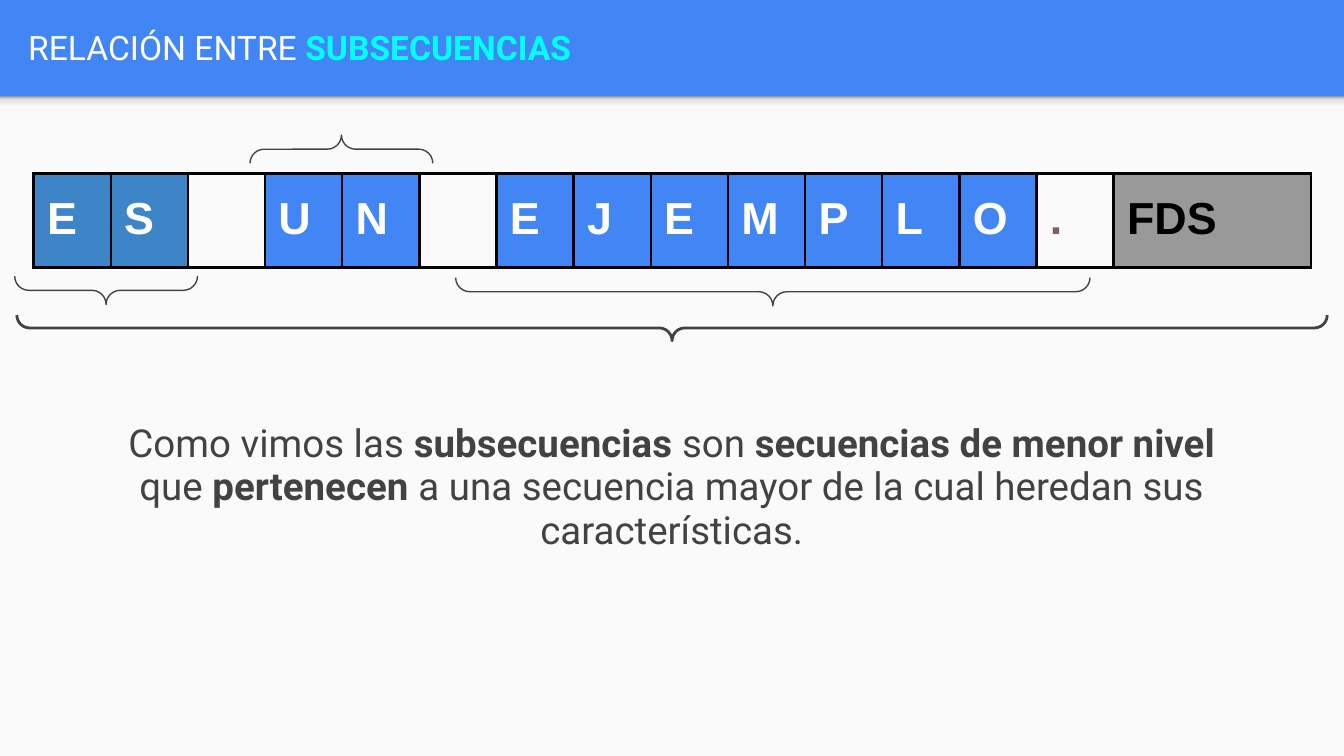
from pptx import Presentation, util as u
from pptx.dml.color import RGBColor
from pptx.enum import shapes, text
from pptx.oxml import parse_xml
from pptx.oxml.ns import nsdecls

WIDTH = 10
HEIGHT = WIDTH * 9 / 16
PANEL_HEIGHT = 4.91
HEADER = HEIGHT - PANEL_HEIGHT
TABLE_LEFT, TABLE_TOP, TABLE_WIDTH, ROW_HEIGHT = 0.25, 1.29, 9.51, 0.7
END_WIDTH = 1.47
BLUE, STEEL, GRAY, DARK, WHITE = "4285F4", "3D85C6", "999999", "424242", "FFFFFF"
SEQUENCE = list("ES UN EJEMPLO.") + ["FDS"]
LETTER_WIDTH = (TABLE_WIDTH - END_WIDTH) / (len(SEQUENCE) - 1)


def color(value):
    return RGBColor.from_string(value)


def inches(*values):
    return [u.Inches(value) for value in values]


def apply(target, values):
    for name, value in values.items():
        setattr(target, name, value)


def add_runs(paragraph, runs, **font):
    """Add (text, colour, bold) runs that share the given font values."""
    for words, tint, bold in runs:
        run = paragraph.add_run()
        run.text = words
        apply(run.font, {**font, "bold": bold})
        run.font.color.rgb = color(tint)


def format_frame(frame, **values):
    margins = dict.fromkeys(
        ["margin_left", "margin_top", "margin_right", "margin_bottom"], u.Inches(0.1))
    apply(frame, {**margins, "word_wrap": True, **values})


def add_panel(slide, height):
    """Add a full-width panel that starts under the header."""
    panel = slide.shapes.add_shape(
        shapes.MSO_SHAPE.RECTANGLE, *inches(0, HEADER, WIDTH, height))
    panel.shadow.inherit = False
    panel.line.fill.background()
    panel.fill.solid()
    panel.fill.fore_color.rgb = color("FAFAFA")
    return panel


def add_header_shadow(slide):
    panel = add_panel(slide, 0.12)
    stops = [(0, "F9F9F9"), (36, "F9F9F9"), (80, "DEDEDE"), (100, GRAY)]
    stop_xml = "".join(
        f'<a:gs pos="{share * 1000}"><a:srgbClr val="{tint}"/></a:gs>'
        for share, tint in stops)
    gradient = parse_xml(
        f'<a:gradFill {nsdecls("a")}><a:gsLst>{stop_xml}</a:gsLst>'
        '<a:lin ang="16200000" scaled="0"/></a:gradFill>')
    properties = panel.element.spPr
    properties.replace(properties.solidFill, gradient)


def add_title(slide):
    title = slide.shapes.title
    apply(title, dict(zip(["left", "top", "width", "height"],
                          inches(0.11, 0.02, 9.65, 0.66))))
    format_frame(title.text_frame, auto_size=text.MSO_AUTO_SIZE.NONE,
                 vertical_anchor=text.MSO_ANCHOR.MIDDLE)
    paragraph = title.text_frame.paragraphs[0]
    paragraph.alignment = text.PP_ALIGN.LEFT
    add_runs(paragraph, [("RELACIÓN ENTRE ", WHITE, False),
                         ("SUBSECUENCIAS", "00FFFF", True)],
             name="Roboto", size=u.Pt(18))


def add_borders(cell):
    properties = cell._tc.get_or_add_tcPr()
    for side in "LRTB":
        properties.append(parse_xml(
            f'<a:ln{side} {nsdecls("a")} w="{u.Pt(1.5)}"><a:solidFill>'
            f'<a:srgbClr val="000000"/></a:solidFill></a:ln{side}>'))


def cell_colors(column, letter):
    """Return the fill (or None) and the text colour of a cell."""
    special = {" ": (None, WHITE), ".": (None, "855D5D"), "FDS": (GRAY, "000000")}
    return special.get(letter, (STEEL if column < 2 else BLUE, WHITE))


def add_sequence_table(slide):
    table = slide.shapes.add_table(
        1, len(SEQUENCE),
        *inches(TABLE_LEFT, TABLE_TOP, TABLE_WIDTH, ROW_HEIGHT)).table
    apply(table, {"first_row": False, "horz_banding": False})
    for column, letter in enumerate(SEQUENCE):
        table.columns[column].width = u.Inches(
            END_WIDTH if letter == "FDS" else LETTER_WIDTH)
        cell = table.cell(0, column)
        format_frame(cell)
        add_borders(cell)
        fill, tint = cell_colors(column, letter)
        if fill:
            cell.fill.solid()
            cell.fill.fore_color.rgb = color(fill)
        else:
            cell.fill.background()
        if letter.strip():
            paragraph = cell.text_frame.paragraphs[0]
            paragraph.line_spacing = 1.15
            add_runs(paragraph, [(letter, tint, True)], name="Arial", size=u.Pt(24))


def add_brace(slide, center, middle, length, depth=0.21, rotation=270, weight=0.75):
    """Add a horizontal brace; rotation 270 points down and 90 points up."""
    brace = slide.shapes.add_shape(
        shapes.MSO_SHAPE.LEFT_BRACE,
        *inches(center - depth / 2, middle - length / 2, depth, length))
    brace.rotation = rotation
    brace.adjustments[0] = brace.adjustments[1] = 0.5
    brace.shadow.inherit = False
    brace.fill.background()
    brace.line.color.rgb = color(DARK)
    brace.line.width = u.Pt(weight)


def add_explanation(slide):
    box = slide.shapes.add_textbox(*inches(0.65, 3.04, 8.7, 1.19))
    format_frame(box.text_frame)
    paragraph = box.text_frame.paragraphs[0]
    apply(paragraph, {"alignment": text.PP_ALIGN.CENTER,
                      "line_spacing": 0.95, "space_after": u.Pt(12)})
    parts = ["Como vimos las ", "subsecuencias ", "son ", "secuencias de menor nivel",
             " que ", "pertenecen ",
             "a una secuencia mayor de la cual heredan sus características."]
    add_runs(paragraph,
             [(part, DARK, index % 2 == 1) for index, part in enumerate(parts)],
             name="Roboto", size=u.Pt(20.6))


def main():
    presentation = Presentation()
    apply(presentation, {"slide_width": u.Inches(WIDTH),
                         "slide_height": u.Inches(HEIGHT)})
    slide = presentation.slides.add_slide(presentation.slide_layouts[5])
    slide.background.fill.solid()
    slide.background.fill.fore_color.rgb = color(BLUE)
    add_panel(slide, PANEL_HEIGHT)
    add_header_shadow(slide)
    add_title(slide)
    add_sequence_table(slide)
    add_brace(slide, 0.79, 2.16, 1.36)
    add_brace(slide, 2.54, 1.11, 1.36, rotation=90)
    add_brace(slide, 5.75, 2.17, 4.72)
    add_brace(slide, WIDTH / 2, 2.44, 9.75, depth=0.19, weight=1.5)
    add_explanation(slide)
    presentation.save("out.pptx")


if __name__ == "__main__":
    main()
